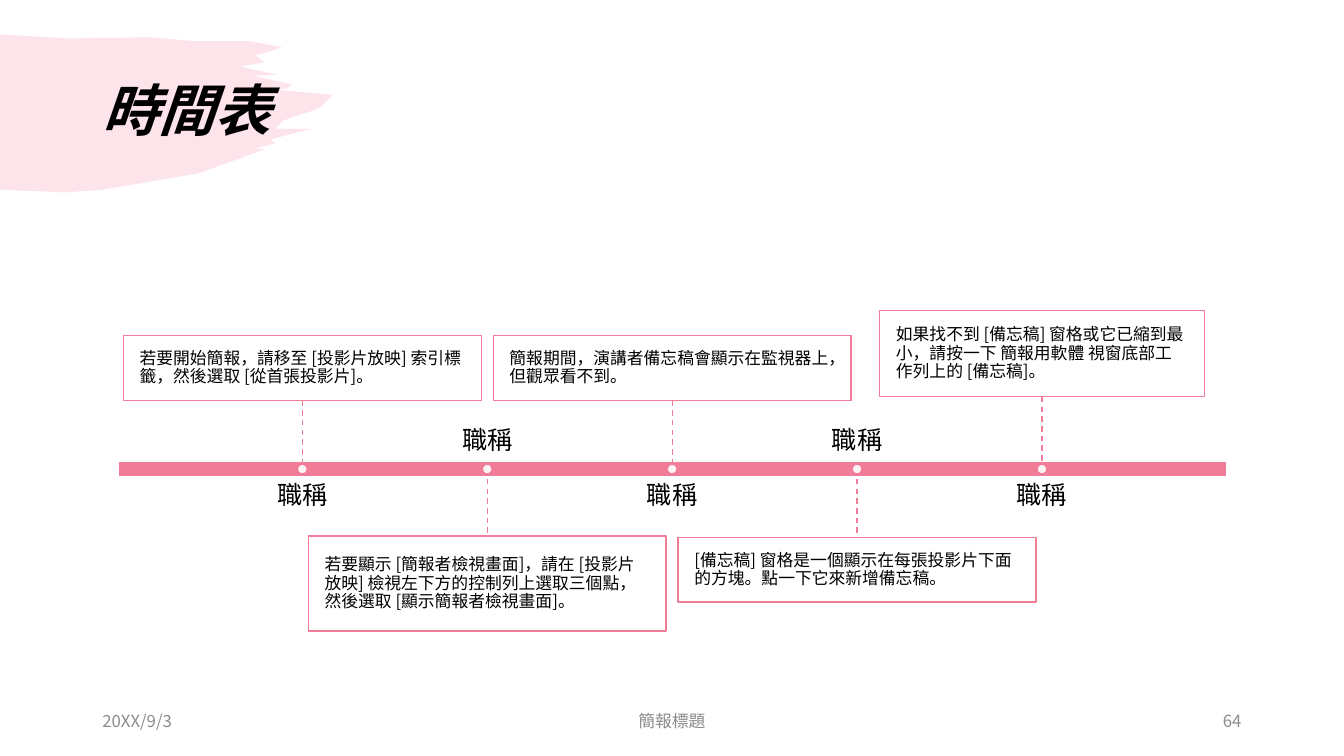
from lxml import etree
from pptx import Presentation
from pptx import util as u
from pptx.dml.color import RGBColor
from pptx.enum import dml, shapes, text
from pptx.oxml.ns import qn

FONT = "Noto Sans CJK TC"
PINK, WHITE, BLACK, GREY = "F07C98", "FFFFFF", "000000", "8C8C8C"
LEFT, CENTER, RIGHT = text.PP_ALIGN.LEFT, text.PP_ALIGN.CENTER, text.PP_ALIGN.RIGHT
TOP, MIDDLE, BOTTOM = (text.MSO_ANCHOR.TOP, text.MSO_ANCHOR.MIDDLE,
                       text.MSO_ANCHOR.BOTTOM)

# Milestones along the bar, in cm
FIRST_X, STEP_X = 7.62, 4.66
BAR_MIDDLE, BAR_HEIGHT = 11.82, 0.38
DOT = 0.25
LABEL_WIDTH, LABEL_HEIGHT, LABEL_GAP = 7.44, 1.07, 0.35
# Wording, box top, height and width
MILESTONES = [
    ("若要開始簡報，請移至 [投影片放映] 索引標籤，然後選取 [從首張投影片]。",
     8.46, 1.63, 9.02),
    ("若要顯示 [簡報者檢視畫面]，請在 [投影片放映] 檢視左下方的控制列上選取三個點，"
     "然後選取 [顯示簡報者檢視畫面]。", 13.51, 2.39, 9.02),
    ("簡報期間，演講者備忘稿會顯示在監視器上，但觀眾看不到。", 8.46, 1.63, 9.02),
    ("[備忘稿] 窗格是一個顯示在每張投影片下面的方塊。點一下它來新增備忘稿。",
     13.54, 1.63, 9.02),
    ("如果找不到 [備忘稿] 窗格或它已縮到最小，請按一下 簡報用軟體 視窗底部工作列上的 [備忘稿]。",
     7.82, 2.18, 8.18),
]

# Brush stroke corners in cm, clockwise from the top left
BRUSH = [
    (0, 0.87), (1.7, 0.97), (3.8, 0.94), (4.93, 1.04), (6.3, 1.04), (7.11, 1.19),
    (6.45, 1.4), (6.65, 1.57), (6.05, 1.68), (6.98, 1.88), (6.38, 1.91),
    (7.37, 2.13), (7.21, 2.24), (6.68, 2.24), (8.38, 2.39), (8.08, 2.69),
    (7.8, 2.82), (7.62, 2.87), (7.11, 3.05), (6.96, 3.25), (7.82, 3.25),
    (6.83, 3.51), (6.93, 3.61), (6.4, 3.76), (6.68, 3.76), (5, 4.37),
    (2.59, 4.78), (1.65, 4.85), (0, 4.78),
]


def colour(value):
    return RGBColor.from_string(value)


def paint(shape, fill, opacity=100, outline=None):
    shape.shadow.inherit = False
    shape.fill.solid()
    shape.fill.fore_color.rgb = colour(fill)
    if opacity < 100:
        tint = shape.element.spPr.find(qn("a:solidFill") + "/" + qn("a:srgbClr"))
        etree.SubElement(tint, qn("a:alpha"), val=str(opacity * 1000))
    if outline:
        shape.line.color.rgb = colour(outline)
        shape.line.width = u.Pt(1)
    else:
        shape.line.fill.background()


def write(shape, wording, size, ink=BLACK, align=LEFT, anchor=MIDDLE,
          spacing=0.9, insets=None):
    frame = shape.text_frame
    frame.word_wrap = True
    frame.auto_size = text.MSO_AUTO_SIZE.NONE
    frame.vertical_anchor = anchor
    if insets:
        frame.margin_left = frame.margin_right = u.Cm(insets[0])
        frame.margin_top = frame.margin_bottom = u.Cm(insets[1])
    para = frame.paragraphs[0]
    para.alignment = align
    para.line_spacing = spacing
    span = para.add_run()
    span.text = wording
    span.font.name = FONT
    span.font.size = u.Pt(size)
    span.font.color.rgb = colour(ink)
    etree.SubElement(span.font._element, qn("a:ea"), typeface=FONT)
    return span


def add_label(page, area, wording, size, **style):
    box = page.shapes.add_textbox(*map(u.Cm, area))
    write(box, wording, size, **style)


def add_preset(page, kind, area, *look):
    shape = page.shapes.add_shape(kind, *map(u.Cm, area))
    paint(shape, *look)
    return shape


def add_dashed_line(page, x, top, bottom):
    line = page.shapes.add_connector(
        shapes.MSO_CONNECTOR.STRAIGHT, *map(u.Cm, (x, top, x, bottom)))
    line.line.color.rgb = colour(PINK)
    line.line.width = u.Pt(1)
    line.line.dash_style = dml.MSO_LINE.DASH
    etree.SubElement(line.element.spPr, qn("a:effectLst"))


def add_brush(page):
    corners = [(u.Cm(x), u.Cm(y)) for x, y in BRUSH]
    builder = page.shapes.build_freeform(*corners[0])
    builder.add_line_segments(corners[1:], close=True)
    brush = builder.convert_to_shape()
    paint(brush, PINK, 20)
    return brush


def add_title(page, wording):
    title = page.shapes.title
    title.left, title.top, title.width, title.height = map(
        u.Cm, (2.33, 1.01, 29.21, 3.68))
    span = write(title, wording, 40)
    span.font.bold = span.font.italic = True
    title.element.addprevious(add_brush(page).element)


def add_milestone(page, x, wording, top, height, width):
    above = top < BAR_MIDDLE
    if above:
        add_dashed_line(page, x, top + height, BAR_MIDDLE)
        label_top, anchor = BAR_MIDDLE + LABEL_GAP, TOP
    else:
        add_dashed_line(page, x, BAR_MIDDLE, top)
        label_top, anchor = BAR_MIDDLE - LABEL_GAP - LABEL_HEIGHT, BOTTOM
    box = add_preset(page, shapes.MSO_SHAPE.RECTANGLE,
                     (x - width / 2, top, width, height), WHITE, 90, PINK)
    write(box, wording, 12, insets=(0.41, 0.1))
    add_label(page, (x - LABEL_WIDTH / 2, label_top, LABEL_WIDTH, LABEL_HEIGHT),
              "職稱", 18, align=CENTER, anchor=anchor, insets=(0, 0))
    add_preset(page, shapes.MSO_SHAPE.OVAL,
               (x - DOT / 2, BAR_MIDDLE - DOT / 2, DOT, DOT), WHITE, 90, PINK)


def main():
    deck = Presentation()
    deck.slide_width, deck.slide_height = u.Cm(33.87), u.Cm(19.05)
    page = deck.slides.add_slide(deck.slide_layouts.get_by_name("Title Only"))
    add_title(page, "時間表")
    add_preset(page, shapes.MSO_SHAPE.RECTANGLE,
               (2.97, BAR_MIDDLE - BAR_HEIGHT / 2, 27.94, BAR_HEIGHT),
               PINK, 100, WHITE)
    for index, milestone in enumerate(MILESTONES):
        add_milestone(page, FIRST_X + index * STEP_X, *milestone)
    for left, width, wording, align in (
            (2.33, 7.62, "20XX/9/3", LEFT),
            (11.22, 11.43, "簡報標題", CENTER),
            (23.92, 7.62, "64", RIGHT)):
        add_label(page, (left, 17.66, width, 1.01), wording, 12,
                  ink=GREY, align=align, spacing=1.0)
    deck.save("out.pptx")


if __name__ == "__main__":
    main()
